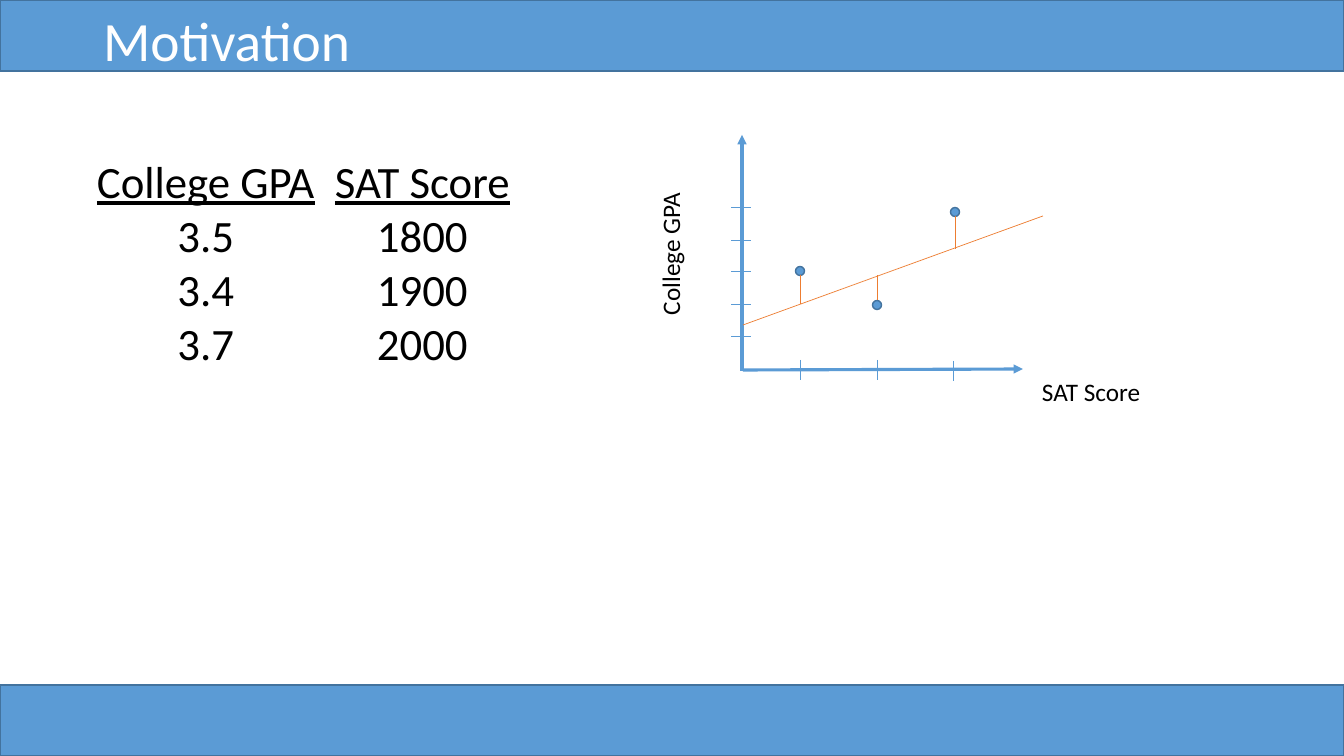
from lxml.etree import SubElement
from pptx import Presentation
from pptx.dml.color import RGBColor as Rgb
from pptx.enum.shapes import MSO_CONNECTOR as Connector, MSO_SHAPE as Preset
from pptx.enum.text import MSO_ANCHOR as Anchor, MSO_AUTO_SIZE as AutoSize, PP_ALIGN as Align
from pptx.oxml.ns import qn
from pptx.util import Emu, Pt

SCALE = 914400 / 100.8
COLORS = {"blue": "5B9BD5", "edge": "43739E", "orange": "ED7D31", "white": "FFFFFF", "black": "000000"}
COLUMNS = [
    ("College GPA", ["3.5", "3.4", "3.7"], (87, 149, 240, 228)),
    ("SAT Score", ["1800", "1900", "2000"], (325, 149, 197, 228)),
]
POINTS = [(800, 271), (877, 305), (955, 212)]
RESIDUALS = [(800, 275, 304), (877, 300, 275), (955, 216, 249)]
SAT_TICKS = [(800, 360), (877, 360), (953, 361)]
GPA_TICKS = [207, 240, 271, 304, 336]


def px(*lengths):
    """Turn picture pixels into EMU."""
    return [Emu(round(length * SCALE)) for length in lengths]


def rgb(name):
    """Look up a named colour."""
    return Rgb.from_string(COLORS[name])


def set_format(target, **values):
    """Set several attributes on one object."""
    for name, value in values.items():
        setattr(target, name, value)


def style_span(span, size, color="black", underline=False):
    """Format one run of text."""
    set_format(span.font, name="Calibri", size=Pt(size), underline=underline)
    span.font.color.rgb = rgb(color)


def add_preset(page, preset, frame):
    """Add a blue shape with a darker edge."""
    shape = page.shapes.add_shape(preset, *px(*frame))
    shape.shadow.inherit = False
    shape.fill.solid()
    shape.fill.fore_color.rgb = rgb("blue")
    shape.line.color.rgb = rgb("edge")
    shape.line.width = Pt(1)


def add_line(page, start, end, color="blue", width=0.5, arrow=False):
    """Add a straight line, with an arrowhead at its end if wanted."""
    line = page.shapes.add_connector(Connector.STRAIGHT, *px(*start, *end))
    line.line.color.rgb = rgb(color)
    line.line.width = Pt(width)
    if arrow:
        SubElement(line.line._get_or_add_ln(), qn("a:tailEnd"), type="triangle")
    SubElement(line.element.spPr, qn("a:effectLst"))


def add_text(page, heading, frame, size, values=(), rotation=0):
    """Add a heading, underlined when centred values follow it."""
    box = page.shapes.add_textbox(*px(*frame))
    box.rotation = rotation
    set_format(box.text_frame, word_wrap=False, auto_size=AutoSize.SHAPE_TO_FIT_TEXT)
    para = box.text_frame.paragraphs[0]
    span = para.add_run()
    span.text = heading
    style_span(span, size, underline=bool(values))
    for value in values:
        para = box.text_frame.add_paragraph()
        para.alignment = Align.CENTER
        span = para.add_run()
        span.text = value
        style_span(span, size)


def place_title(page, words, frame):
    """Format the title placeholder and bring it to the front."""
    title = page.shapes.title
    set_format(title, **dict(zip(("left", "top", "width", "height"), px(*frame))))
    set_format(title.text_frame, text=words, word_wrap=True,
               auto_size=AutoSize.NONE, vertical_anchor=Anchor.MIDDLE)
    para = title.text_frame.paragraphs[0]
    set_format(para, alignment=Align.LEFT, line_spacing=0.9)
    style_span(para.runs[0], 39.6, "white")
    title.element.getparent().append(title.element)


def draw_plot(page):
    """Draw the axes, points, ticks, fitted line and residuals."""
    add_line(page, (742, 371), (742, 135), width=2.25, arrow=True)
    add_line(page, (743, 370), (1023, 369), width=2.25, arrow=True)
    for x, y in POINTS:
        add_preset(page, Preset.OVAL, (x - 4.5, y - 4.5, 9, 9))
    add_text(page, "SAT Score", (1032, 371, 120, 40), 18)
    add_text(page, "College GPA", (598, 233, 144, 40), 18, rotation=270)
    for x, y in SAT_TICKS:
        add_line(page, (x, y), (x, y + 20))
    for y in GPA_TICKS:
        add_line(page, (751, y), (731, y))
    add_line(page, (743, 325), (1043, 216), "orange")
    for x, top, bottom in RESIDUALS:
        add_line(page, (x, top), (x, bottom), "orange")


def main():
    """Build and save the slide."""
    deck = Presentation()
    deck.slide_width, deck.slide_height = px(1344, 756)
    page = deck.slides.add_slide(deck.slide_layouts.get_by_name("Title Only"))
    for top in (685, 0):
        add_preset(page, Preset.RECTANGLE, (0, top, 1344, 71))
    place_title(page, "Motivation", (93, 17, 1159, 54))
    for heading, values, frame in COLUMNS:
        add_text(page, heading, frame, 32, values)
    draw_plot(page)
    deck.save("out.pptx")


main()
